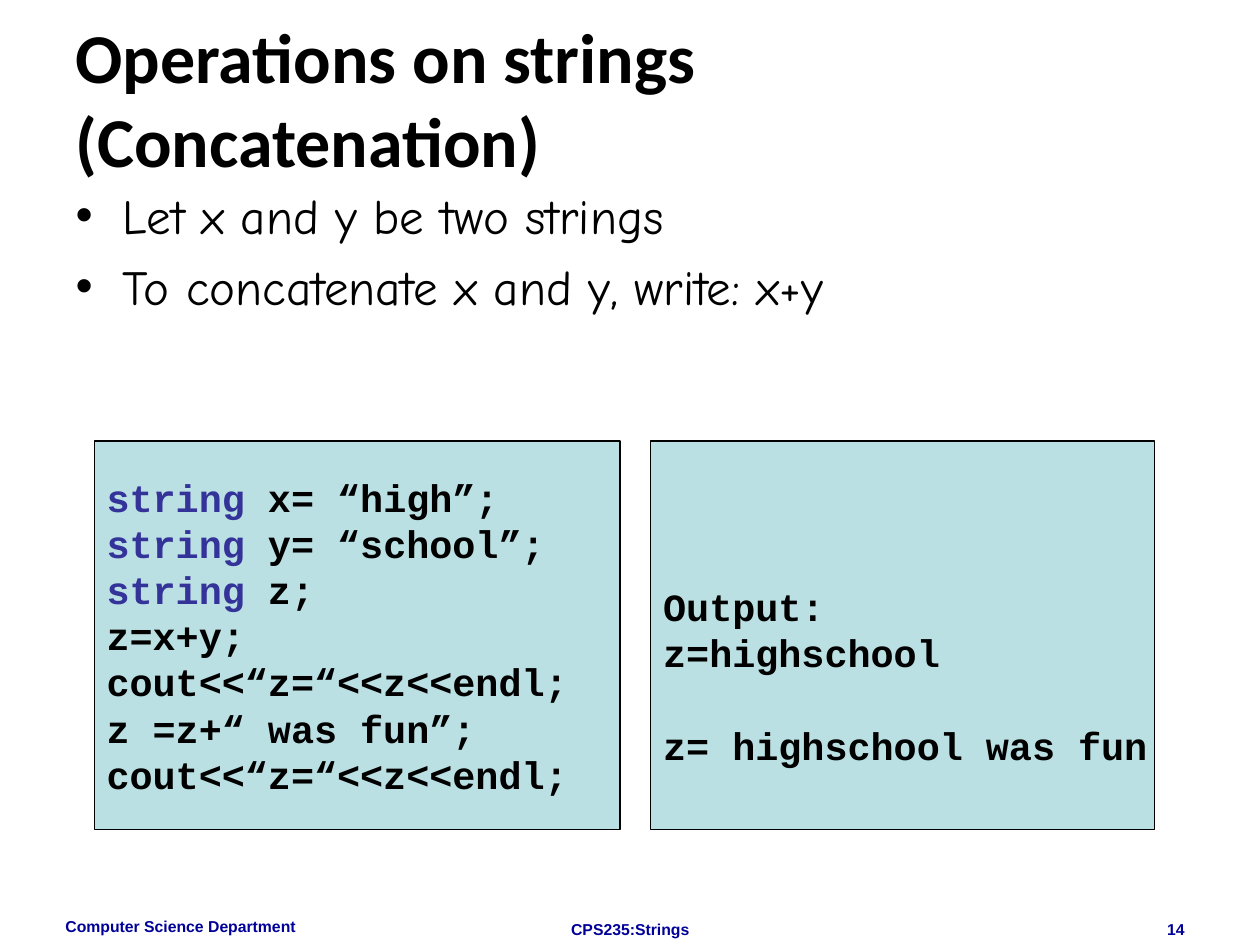
from dataclasses import dataclass

from pptx import Presentation
from pptx import util as u
from pptx.dml.color import RGBColor
from pptx.enum import shapes, text

Cm, Pt = u.Cm, u.Pt
BLACK = RGBColor(0x00, 0x00, 0x00)
NAVY = RGBColor(0x00, 0x00, 0x99)
INDIGO = RGBColor(0x33, 0x33, 0x99)
TEAL = RGBColor(0xBB, 0xE0, 0xE3)

TITLE = dict(name="Calibri", size=Pt(40), bold=True)
BODY = dict(name="Comic Neue", size=Pt(28), bold=False)
CODE = dict(name="Courier New", size=Pt(22), bold=True)
FOOT = dict(name="Arial", size=Pt(9), bold=True)
KEY = "string"
ALIGN = text.PP_ALIGN
ANCHOR = text.MSO_ANCHOR


@dataclass
class Box:
    left: float
    top: float
    width: float
    height: float

    def lengths(self) -> list:
        return [Cm(v) for v in (self.left, self.top, self.width, self.height)]


@dataclass
class Panel:
    box: Box
    lines: list[str]
    inset: float = 0.13
    gaps: tuple = ()


@dataclass
class Footer:
    box: Box
    label: str
    align: ALIGN


PANELS = [
    Panel(Box(1.9, 8.89, 10.6, 7.83), [
        "string x= “high”;",
        "string y= “school”;",
        "string z;",
        "z=x+y;",
        "cout<<“z=“<<z<<endl;",
        "z =z+“ was fun”;",
        "cout<<“z=“<<z<<endl;",
    ]),
    Panel(Box(13.12, 8.89, 10.16, 7.83), [
        "Output:",
        "z=highschool",
        "z= highschool was fun",
    ], inset=1.75, gaps=(2,)),
]

FOOTERS = [
    Footer(Box(1.07, 18.36, 5.93, 0.68), "Computer Science Department", ALIGN.LEFT),
    Footer(Box(8.68, 18.42, 8.05, 0.25), "CPS235:Strings", ALIGN.CENTER),
    Footer(Box(18.2, 18.42, 5.93, 0.25), "14", ALIGN.RIGHT),
]


def style(font, form: dict, color: RGBColor = BLACK) -> None:
    for key, value in form.items():
        setattr(font, key, value)
    font.color.rgb = color


def place(shape, box: Box) -> None:
    names = ("left", "top", "width", "height")
    for name, value in zip(names, box.lengths()):
        setattr(shape, name, value)


def fill_holder(shape, box: Box, lines: list[str], form: dict, anchor) -> None:
    place(shape, box)
    frame = shape.text_frame
    frame.text = "\n".join(lines)
    frame.auto_size = text.MSO_AUTO_SIZE.NONE
    frame.vertical_anchor = anchor
    for i, para in enumerate(frame.paragraphs):
        para.alignment = ALIGN.LEFT
        para.space_before = Pt(7 if i else 0)
        for run in para.runs:
            style(run.font, form)


def add_panel(slide, panel: Panel) -> None:
    rect = slide.shapes.add_shape(shapes.MSO_SHAPE.RECTANGLE, *panel.box.lengths())
    rect.shadow.inherit = False
    rect.fill.solid()
    rect.fill.fore_color.rgb = TEAL
    rect.line.color.rgb = BLACK
    rect.line.width = Pt(0.75)
    frame = rect.text_frame
    frame.word_wrap = False
    frame.vertical_anchor = ANCHOR.MIDDLE
    frame.margin_top = Cm(panel.inset)
    for i, line in enumerate(panel.lines):
        para = frame.add_paragraph() if i else frame.paragraphs[0]
        para.alignment = ALIGN.JUSTIFY
        para.line_spacing = Pt(26.4)
        if i in panel.gaps:
            para.space_before = Pt(26.4)
        head = KEY if line.startswith(KEY) else ""
        for part, color in ((head, INDIGO), (line[len(head):], BLACK)):
            if part:
                run = para.add_run()
                run.text = part
                style(run.font, CODE, color)


def add_footer(slide, foot: Footer) -> None:
    frame = slide.shapes.add_textbox(*foot.box.lengths()).text_frame
    frame.word_wrap = True
    para = frame.paragraphs[0]
    para.alignment = foot.align
    run = para.add_run()
    run.text = foot.label
    style(run.font, FOOT, NAVY)


def main() -> None:
    deck = Presentation()
    deck.slide_width, deck.slide_height = Cm(25.4), Cm(19.05)
    slide = deck.slides.add_slide(deck.slide_layouts[1])
    title, body = slide.placeholders
    fill_holder(title, Box(1.27, 0.76, 22.86, 2.41),
                ["Operations on strings\v(Concatenation)"], TITLE, ANCHOR.MIDDLE)
    fill_holder(body, Box(1.27, 3.61, 22.86, 14.4),
                ["Let x and y be two strings", "To concatenate x and y, write: x+y"],
                BODY, ANCHOR.TOP)
    for panel in PANELS:
        add_panel(slide, panel)
    for foot in FOOTERS:
        add_footer(slide, foot)
    deck.save("out.pptx")


if __name__ == "__main__":
    main()
